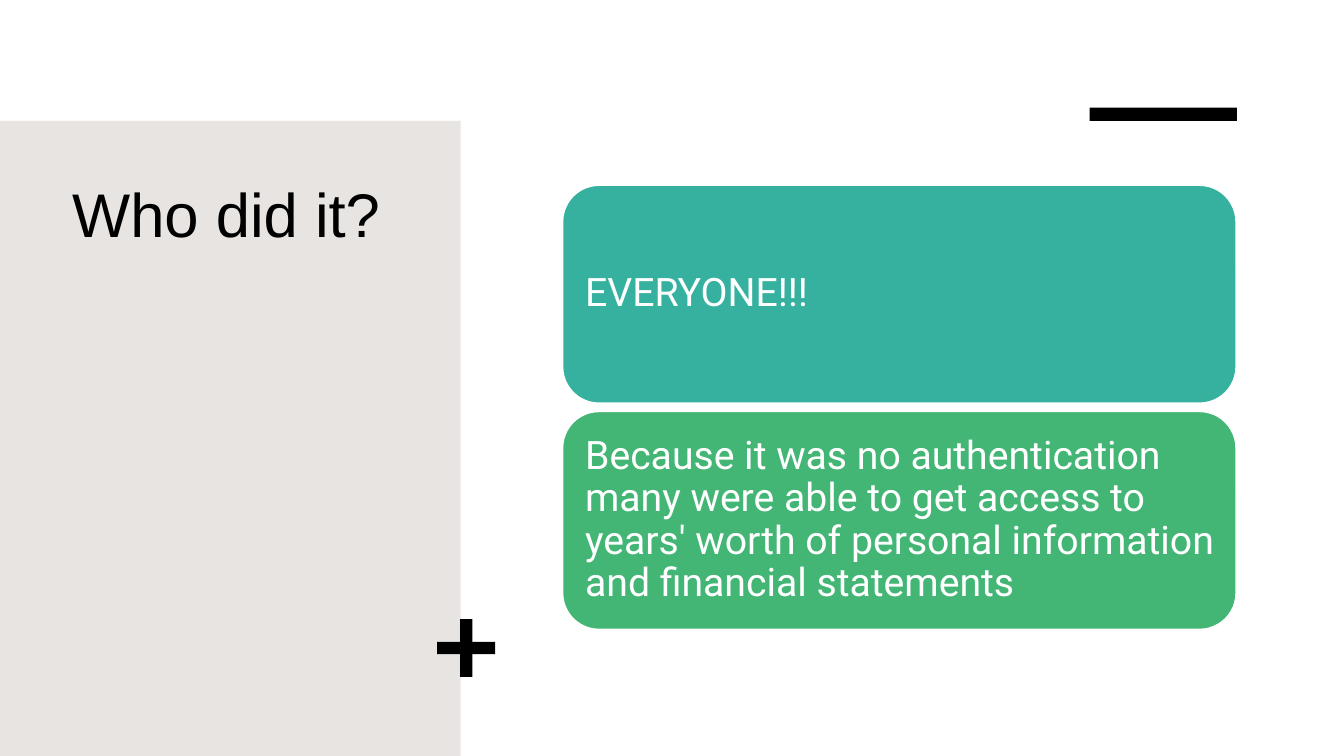
from pptx import Presentation
from pptx.dml.color import RGBColor
from pptx.enum.shapes import MSO_SHAPE
from pptx.enum.text import MSO_ANCHOR, PP_ALIGN
from pptx.util import Cm, Pt

RECT, PLUS, ROUND = MSO_SHAPE.RECTANGLE, MSO_SHAPE.CROSS, MSO_SHAPE.ROUNDED_RECTANGLE
TOP, MIDDLE, LEFT = MSO_ANCHOR.TOP, MSO_ANCHOR.MIDDLE, PP_ALIGN.LEFT

TITLE = "Who did it?"
CARDS = [
    ("EVERYONE!!!", "36B19F"),
    ("Because it was no authentication many were able to get access to "
     "years' worth of personal information and financial statements", "43B675"),
]
DECOR = [
    (RECT, (0, 3.05, 11.61, 16), "E8E4E2"),
    (RECT, (27.46, 2.71, 3.71, 0.34), "000000"),
    (PLUS, (11.02, 15.6, 1.46, 1.46), "000000"),
]
TITLE_BOX = (1.57, 4.19, 8.89, 11.18)
CARD_X, CARD_Y, CARD_W, CARD_H, GAP = 14.18, 4.67, 16.97, 5.49, 0.21

TITLE_FONT = {"name": "Arial", "size": Pt(44)}
CARD_FONT = {"name": "Roboto", "size": Pt(28)}
TITLE_FRAME = {"word_wrap": True, "vertical_anchor": TOP,
               "margin_left": Cm(0.25), "margin_top": Cm(0.25)}
CARD_FRAME = {"word_wrap": True, "vertical_anchor": MIDDLE,
              "margin_left": Cm(0.3), "margin_right": Cm(0.2),
              "margin_top": Cm(0.3), "margin_bottom": Cm(0.3)}
TITLE_PARA = {"alignment": LEFT}
CARD_PARA = {"alignment": LEFT, "line_spacing": 0.9}


def paint(target, color):
    target.rgb = RGBColor.from_string(color)


def apply(target, values):
    for key, value in values.items():
        setattr(target, key, value)


def draw(slide, kind, box, color):
    shape = slide.shapes.add_shape(kind, *map(Cm, box))
    shape.shadow.inherit = False
    shape.fill.solid()
    paint(shape.fill.fore_color, color)
    shape.line.fill.background()
    return shape


def write(shape, text, frame, para, font, color):
    apply(shape.text_frame, frame)
    line = shape.text_frame.paragraphs[0]
    apply(line, para)
    run = line.add_run()
    run.text = text
    apply(run.font, font)
    paint(run.font.color, color)


def main():
    deck = Presentation()
    deck.slide_width, deck.slide_height = Cm(33.87), Cm(19.05)
    slide = deck.slides.add_slide(deck.slide_layouts[6])

    for kind, box, color in DECOR:
        shape = draw(slide, kind, box, color)
        if kind == PLUS:
            shape.adjustments[0] = 0.395

    title = slide.shapes.add_textbox(*map(Cm, TITLE_BOX))
    write(title, TITLE, TITLE_FRAME, TITLE_PARA, TITLE_FONT, "000000")

    for row, (text, color) in enumerate(CARDS):
        top = CARD_Y + row * (CARD_H + GAP)
        card = draw(slide, ROUND, (CARD_X, top, CARD_W, CARD_H), color)
        card.line.width = Pt(1)
        card.line.fill.solid()
        paint(card.line.fill.fore_color, "FFFFFF")
        write(card, text, CARD_FRAME, CARD_PARA, CARD_FONT, "FFFFFF")

    deck.save("out.pptx")


if __name__ == "__main__":
    main()
